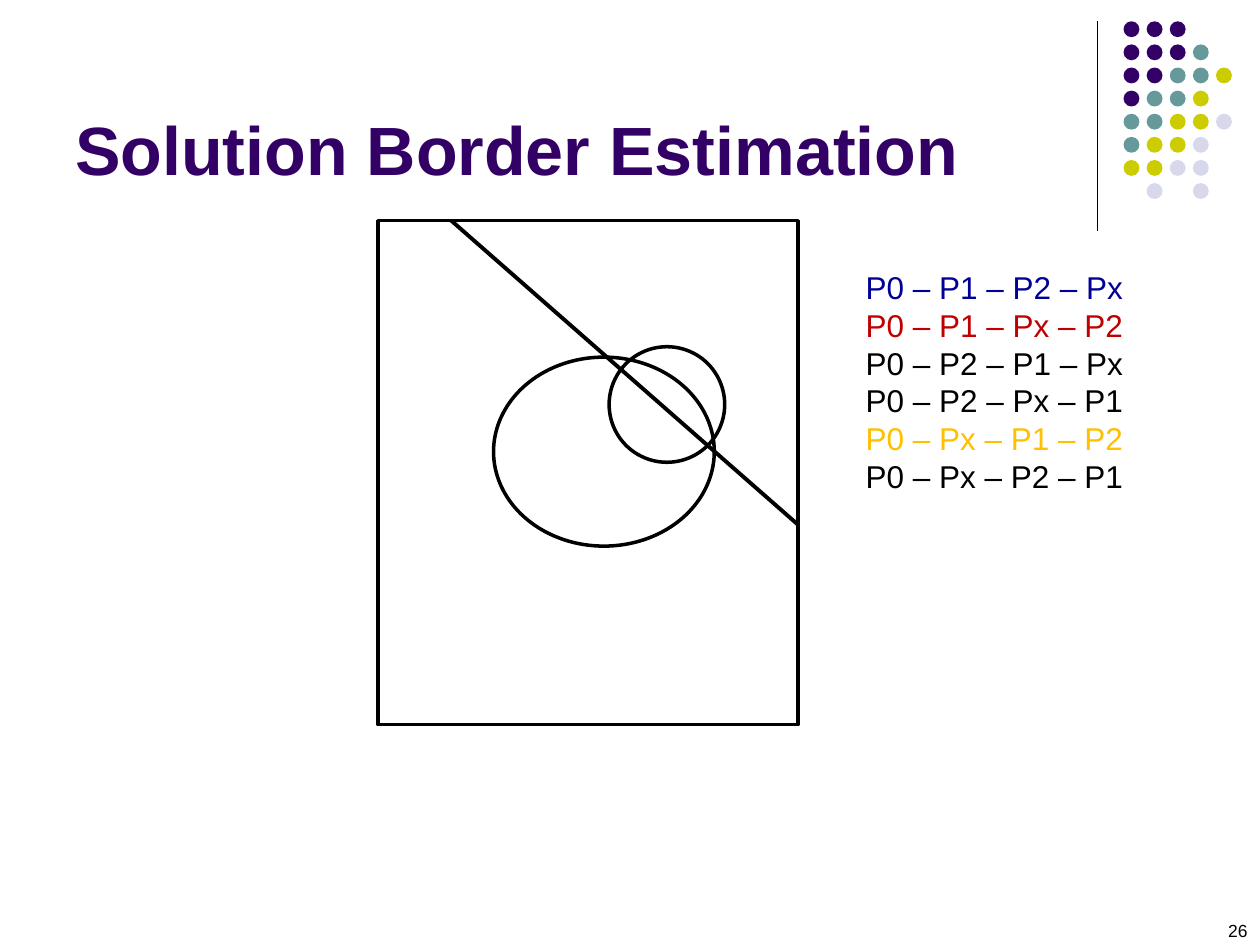
from pptx import Presentation
from pptx.dml.color import RGBColor
from pptx.enum import shapes, text
from pptx.oxml.ns import qn
from pptx.util import Cm, Pt

THEME = {
    "font": "Arial",
    "size": {"title": 39, "body": 18, "number": 10},
    "color": {
        "purple": "330066", "teal": "669999", "olive": "CCCC00", "lilac": "D8D8EC",
        "black": "000000", "blue": "000099", "red": "C00000", "gold": "FFC000",
    },
}


def rgb(name):
    return RGBColor.from_string(THEME["color"][name])


def add_text(s, box, lines, size, frame, align=text.PP_ALIGN.LEFT, bold=False):
    tf = s.shapes.add_textbox(*map(Cm, box)).text_frame
    for key, value in frame.items():
        setattr(tf, key, value)
    for i, (line, color) in enumerate(lines):
        p = tf.paragraphs[0] if i == 0 else tf.add_paragraph()
        p.alignment = align
        r = p.add_run()
        r.text = line
        fmt = {"name": THEME["font"], "size": Pt(THEME["size"][size]), "bold": bold}
        for key, value in fmt.items():
            setattr(r.font, key, value)
        r.font.color.rgb = rgb(color)


prs = Presentation()
prs.slide_width, prs.slide_height = Cm(25.4), Cm(19.05)
s = prs.slides.add_slide(prs.slide_layouts[6])

dot_rows = ["PPP", "PPPT", "PPTTO", "PTTO", "TTOOL", "TOOL", "OOLL", " L L"]
dot_colors = {"P": "purple", "T": "teal", "O": "olive", "L": "lilac"}
pitch, dot = 0.466, 0.32
for row, codes in enumerate(dot_rows):
    for col, code in enumerate(codes):
        if code in dot_colors:
            sp = s.shapes.add_shape(
                shapes.MSO_SHAPE.OVAL,
                Cm(22.65 + col * pitch), Cm(0.43 + row * pitch), Cm(dot), Cm(dot))
            sp.shadow.inherit = False
            sp.fill.solid()
            sp.fill.fore_color.rgb = rgb(dot_colors[code])
            sp.line.fill.background()

outlines = [
    (shapes.MSO_SHAPE.RECTANGLE, (7.62, 4.45, 8.47, 10.16)),
    (shapes.MSO_SHAPE.OVAL, (12.28, 6.99, 2.33, 2.33)),
    (shapes.MSO_SHAPE.OVAL, (9.95, 7.2, 4.45, 3.81)),
]
for kind, box in outlines:
    sp = s.shapes.add_shape(kind, *map(Cm, box))
    sp.shadow.inherit = False
    sp.fill.background()
    sp.line.color.rgb = rgb("black")
    sp.line.width = Pt(2)

lines = [
    ((22.12, 0.43, 22.12, 4.66), 0.75),
    ((16.09, 10.58, 9.1, 4.45), 2.25),
]
for ends, width in lines:
    cx = s.shapes.add_connector(shapes.MSO_CONNECTOR.STRAIGHT, *map(Cm, ends))
    cx.line.color.rgb = rgb("black")
    cx.line.width = Pt(width)
    sp_pr = cx._element.spPr
    sp_pr.append(sp_pr.makeelement(qn("a:effectLst"), {}))

add_text(s, (1.27, 0.33, 20.96, 3.61), [("Solution Border Estimation", "purple")], "title",
         {"word_wrap": True, "vertical_anchor": text.MSO_ANCHOR.BOTTOM}, bold=True)
add_text(s, (19.47, 18.42, 5.93, 1.27), [("26", "black")], "number",
         {"word_wrap": True}, align=text.PP_ALIGN.RIGHT)

orders = [
    ("P0 – P1 – P2 – Px", "blue"),
    ("P0 – P1 – Px – P2", "red"),
    ("P0 – P2 – P1 – Px", "black"),
    ("P0 – P2 – Px – P1", "black"),
    ("P0 – Px – P1 – P2", "gold"),
    ("P0 – Px – P2 – P1", "black"),
]
add_text(s, (17.2, 5.28, 5.69, 4.83), orders, "body",
         {"word_wrap": False, "auto_size": text.MSO_AUTO_SIZE.SHAPE_TO_FIT_TEXT})

prs.save("out.pptx")
